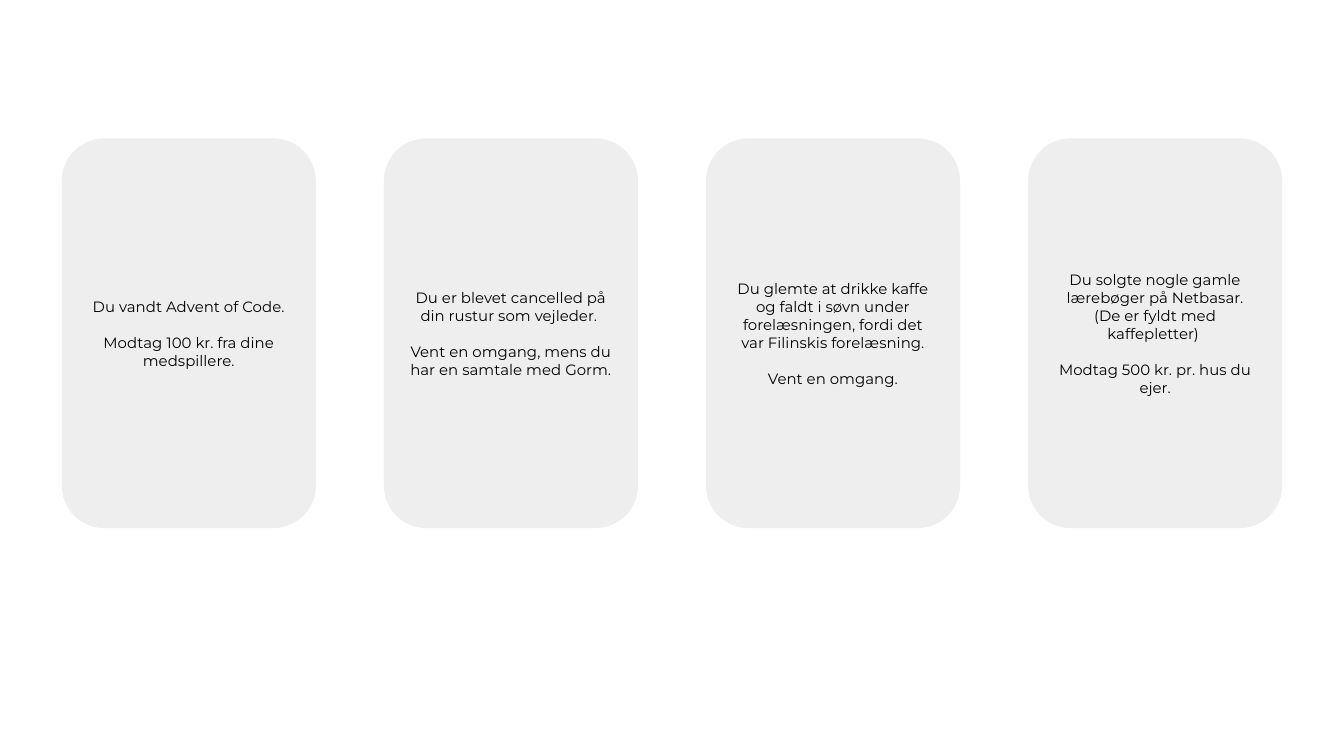
import pptx
import pptx.dml.color
import pptx.enum.shapes
import pptx.enum.text
import pptx.util

Inches = pptx.util.Inches
Pt = pptx.util.Pt

COLORS = {"card": "EEEEEE", "text": "000000"}
FONT = "Montserrat"

# Slide (16:9) and card sizes in inches
WIDE = 10
HIGH = WIDE * 9 / 16
EDGE, TOP = 0.46, 1.03
CARD_W, CARD_H = 1.89, 2.9

# Event and outcome of each card, from left to right
CARDS = [
    ("Du vandt Advent of Code.",
     "Modtag 100 kr. fra dine medspillere."),
    ("Du er blevet cancelled på din rustur som vejleder. ",
     "Vent en omgang, mens du har en samtale med Gorm."),
    ("Du glemte at drikke kaffe og faldt i søvn under forelæsningen, "
     "fordi det var Filinskis forelæsning.",
     "Vent en omgang."),
    ("Du solgte nogle gamle lærebøger på Netbasar. "
     "(De er fyldt med kaffepletter) ",
     "Modtag 500 kr. pr. hus du ejer."),
]


def color(name):
    return pptx.dml.color.RGBColor.from_string(COLORS[name])


def add_text(frame, lines):
    frame.word_wrap = True
    frame.vertical_anchor = pptx.enum.text.MSO_ANCHOR.MIDDLE
    frame.margin_left = frame.margin_right = Inches(0.1)
    frame.margin_top = frame.margin_bottom = Inches(0.1)
    for i, line in enumerate(lines):
        para = frame.add_paragraph() if i else frame.paragraphs[0]
        para.text = line
        para.alignment = pptx.enum.text.PP_ALIGN.CENTER
        if i:
            para.space_before = Pt(9.75)  # one line of text
        font = para.runs[0].font
        font.name = FONT
        font.size = Pt(8)
        font.color.rgb = color("text")


def add_card(slide, left, lines):
    card = slide.shapes.add_shape(
        pptx.enum.shapes.MSO_SHAPE.ROUNDED_RECTANGLE,
        Inches(left), Inches(TOP), Inches(CARD_W), Inches(CARD_H))
    card.shadow.inherit = False
    card.fill.solid()
    card.fill.fore_color.rgb = color("card")
    card.line.fill.background()
    add_text(card.text_frame, lines)


def main():
    deck = pptx.Presentation()
    deck.slide_width, deck.slide_height = Inches(WIDE), Inches(HIGH)
    slide = deck.slides.add_slide(deck.slide_layouts[6])

    # Row of cards with equal gaps between the side margins
    step = (WIDE - 2 * EDGE - CARD_W) / (len(CARDS) - 1)
    for i, lines in enumerate(CARDS):
        add_card(slide, EDGE + i * step, lines)

    deck.save("out.pptx")


if __name__ == "__main__":
    main()
